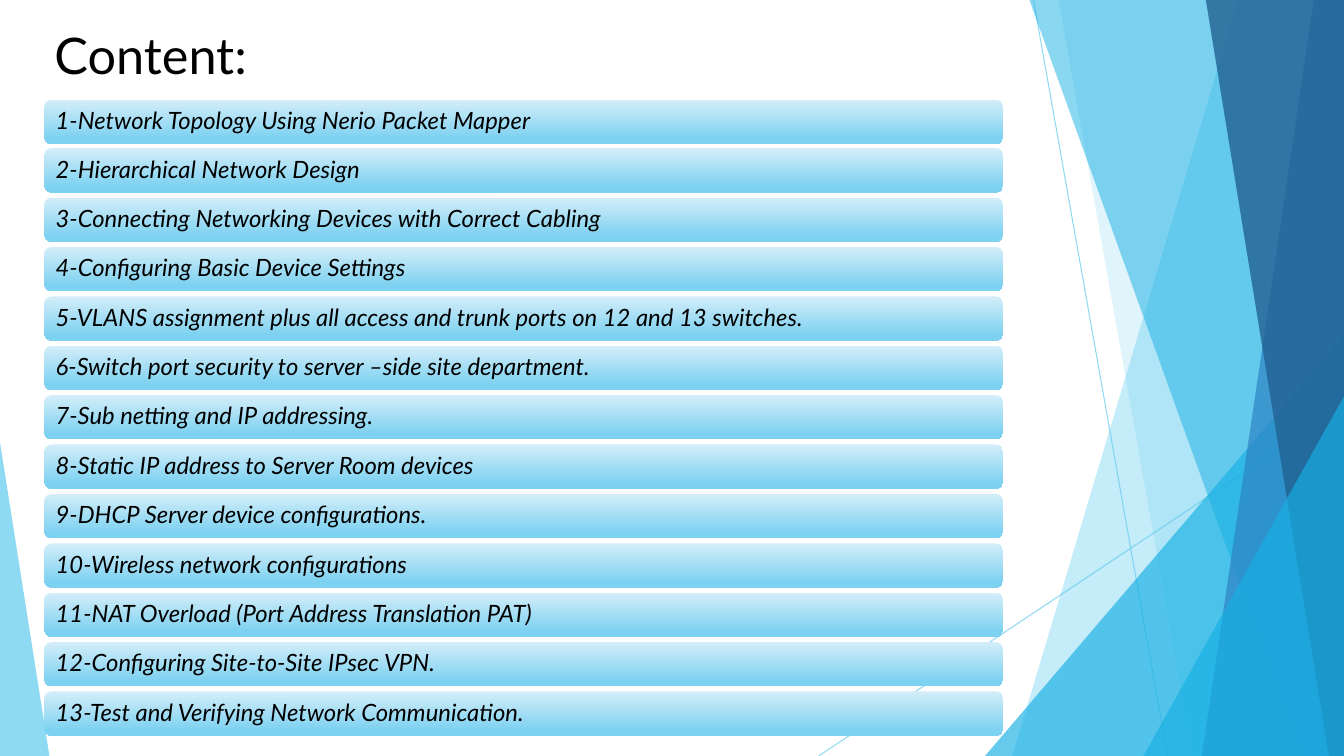
from dataclasses import dataclass

from lxml.etree import SubElement
from pptx import Presentation
from pptx.dml.color import RGBColor
from pptx.enum.shapes import MSO_CONNECTOR, MSO_SHAPE
from pptx.enum.text import MSO_ANCHOR, MSO_AUTO_SIZE, PP_ALIGN
from pptx.oxml.ns import qn
from pptx.util import Inches, Pt


@dataclass(frozen=True)
class Theme:
    font: str = "Lato"
    title_size: int = 36
    item_size: int = 17
    text: str = "000000"
    sky: str = "5FCBEF"
    azure: str = "17B0E4"
    blue: str = "2E83C3"
    navy: str = "226292"
    bar_top: str = "D4EEF9"
    bar_bottom: str = "7DD1F1"


THEME = Theme()
WIDTH, HEIGHT = 13.33, 7.5

TITLE = "Content:"
TOPICS = [
    "Network Topology Using Nerio Packet Mapper",
    "Hierarchical Network Design",
    "Connecting Networking Devices with Correct Cabling",
    "Configuring Basic Device Settings",
    "VLANS assignment plus all access and trunk ports on 12 and 13 switches.",
    "Switch port security to server –side site department.",
    "Sub netting and IP addressing.",
    "Static IP address to Server Room devices",
    "DHCP Server device configurations.",
    "Wireless network configurations",
    "NAT Overload (Port Address Translation PAT)",
    "Configuring Site-to-Site IPsec VPN.",
    "Test and Verifying Network Communication.",
]

THIN_LINES = [
    ((10.25, 0), (11.58, HEIGHT)),
    ((WIDTH, 4.03), (8.12, HEIGHT)),
]


def band(top_left, bottom_left):
    return [(top_left, 0), (WIDTH, 0), (WIDTH, HEIGHT), (bottom_left, HEIGHT)]


def right_wedge(left, top):
    return [(WIDTH, top), (WIDTH, HEIGHT), (left, HEIGHT)]


FACETS = [
    (band(12.28, 10.04), THEME.sky, 36),
    (band(10.5, 11.83), THEME.sky, 20),
    (right_wedge(9.77, 3.33), THEME.azure, 66),
    (band(10.21, 12.91), THEME.azure, 50),
    (band(13.03, 11.92), THEME.blue, 70),
    (band(11.96, 13.18), THEME.navy, 80),
    (right_wedge(11.34, 3.93), THEME.azure, 66),
    ([(0, 4.39), (0.49, HEIGHT), (0, HEIGHT)], THEME.sky, 70),
]

BAR_LEFT, BAR_WIDTH, BAR_HEIGHT = 0.44, 9.51, 0.44
FIRST_TOP, SECOND_TOP, BAR_PITCH = 0.99, 1.47, 0.49


def set_opacity(shape, percent):
    for color in shape.element.spPr.iter(qn("a:srgbClr")):
        SubElement(color, qn("a:alpha"), val=str(percent * 1000))


def add_thin_line(page, start, end):
    line = page.shapes.add_connector(
        MSO_CONNECTOR.STRAIGHT, *map(Inches, start + end))
    line.line.color.rgb = RGBColor.from_string(THEME.sky)
    line.line.width = Pt(0.75)
    set_opacity(line, 70)
    SubElement(line.element.spPr, qn("a:effectLst"))


def add_facet(page, corners, color, opacity):
    points = [(Inches(x), Inches(y)) for x, y in corners]
    builder = page.shapes.build_freeform(*points[0])
    builder.add_line_segments(points[1:], close=True)
    facet = builder.convert_to_shape()
    facet.shadow.inherit = False
    facet.line.fill.background()
    facet.fill.solid()
    facet.fill.fore_color.rgb = RGBColor.from_string(color)
    set_opacity(facet, opacity)


def write(box, text, size, italic=False):
    frame = box.text_frame
    frame.word_wrap = True
    frame.auto_size = MSO_AUTO_SIZE.NONE
    frame.vertical_anchor = MSO_ANCHOR.MIDDLE
    para = frame.paragraphs[0]
    para.alignment = PP_ALIGN.LEFT
    span = para.add_run()
    span.text = text
    span.font.name = THEME.font
    span.font.size = Pt(size)
    span.font.italic = italic
    span.font.color.rgb = RGBColor.from_string(THEME.text)
    return para


def add_topic(page, top, text):
    bar = page.shapes.add_shape(
        MSO_SHAPE.ROUNDED_RECTANGLE,
        *map(Inches, (BAR_LEFT, top, BAR_WIDTH, BAR_HEIGHT)))
    bar.shadow.inherit = False
    bar.line.fill.background()
    bar.fill.gradient()
    bar.fill.gradient_angle = 270
    stops = [(0, THEME.bar_top), (0.88, THEME.bar_bottom)]
    for stop, (position, color) in zip(bar.fill.gradient_stops, stops):
        stop.position = position
        stop.color.rgb = RGBColor.from_string(color)
    frame = bar.text_frame
    frame.margin_left = frame.margin_right = Inches(0.09)
    frame.margin_top = frame.margin_bottom = Inches(0.07)
    para = write(bar, text, THEME.item_size, italic=True)
    para.line_spacing = 0.9


def main():
    deck = Presentation()
    deck.slide_width, deck.slide_height = Inches(WIDTH), Inches(HEIGHT)
    page = deck.slides.add_slide(deck.slide_layouts[5])

    title = page.shapes.title
    title.left, title.top = Inches(0.44), Inches(0.17)
    title.width, title.height = Inches(2.2), Inches(0.73)
    write(title, TITLE, THEME.title_size)

    for start, end in THIN_LINES:
        add_thin_line(page, start, end)
    for corners, color, opacity in FACETS:
        add_facet(page, corners, color, opacity)

    for index, topic in enumerate(TOPICS):
        top = SECOND_TOP + (index - 1) * BAR_PITCH if index else FIRST_TOP
        add_topic(page, top, f"{index + 1}-{topic}")

    deck.save("out.pptx")


if __name__ == "__main__":
    main()
